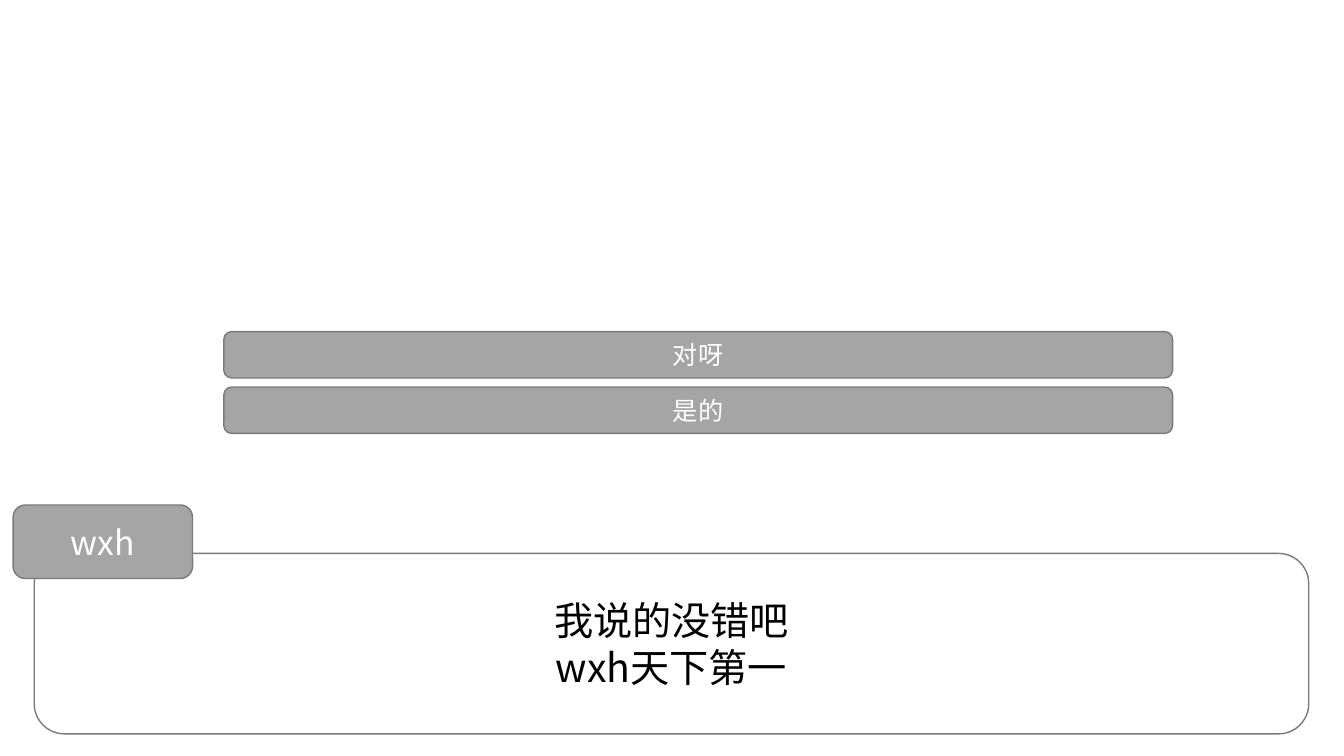
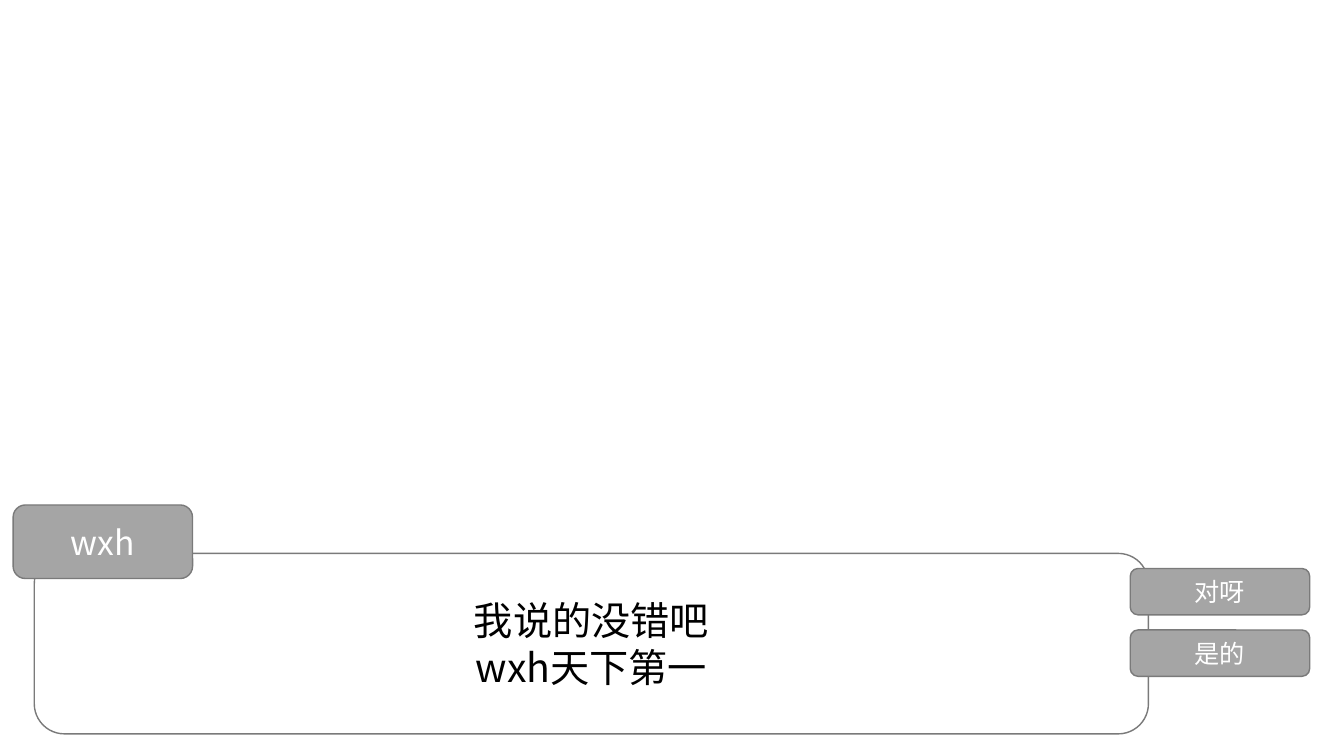
from lxml.etree import SubElement
from pptx import Presentation
from pptx.dml.color import RGBColor as RGB
from pptx.enum.shapes import MSO_SHAPE as SHAPE
from pptx.enum.text import MSO_ANCHOR as ANCHOR, PP_ALIGN as ALIGN
from pptx.oxml.ns import qn
from pptx.util import Pt

PX = 9144
WIDTH, HEIGHT = 1333, 750
FONT = "Noto Sans CJK SC"
WHITE = RGB(0xFF, 0xFF, 0xFF)
BLACK = RGB(0x00, 0x00, 0x00)
GRAY = RGB(0xA5, 0xA5, 0xA5)
OUTLINE = RGB(0x7A, 0x7A, 0x7A)

SPEAKER = "wxh"
LINES = ["我说的没错吧", "wxh天下第一"]
CHOICES = ["对呀", "是的"]
CHOICE_H = 46


def add_box(slide, box, lines, size, fill=GRAY, color=WHITE, opacity=100):
    """Add an outlined rounded box with centred lines of text."""
    sp = slide.shapes.add_shape(SHAPE.ROUNDED_RECTANGLE, *(v * PX for v in box))
    sp.shadow.inherit = False
    sp.fill.solid()
    sp.fill.fore_color.rgb = fill
    if opacity < 100:
        clr = sp._element.spPr.find(qn("a:solidFill")).find(qn("a:srgbClr"))
        SubElement(clr, qn("a:alpha"), val=str(opacity * 1000))
    sp.line.color.rgb = OUTLINE
    sp.line.width = Pt(1)
    tf = sp.text_frame
    tf.word_wrap = True
    tf.vertical_anchor = ANCHOR.MIDDLE
    tf.text = "\n".join(lines)
    for p in tf.paragraphs:
        p.alignment = ALIGN.CENTER
        p.font.size = Pt(size)
        p.font.color.rgb = color
        p.font.name = FONT
        props = p._p.get_or_add_pPr().find(qn("a:defRPr"))
        SubElement(props, qn("a:ea"), typeface=FONT)


def add_dialogue(slide, left, top, width, height):
    """Add the speech panel with the speaker's name tag over its corner."""
    add_box(slide, (left, top, width, height), LINES, 28, WHITE, BLACK, 60)
    add_box(slide, (left - 21, top - 48, 178, 73), [SPEAKER], 24)


def add_choices(slide, left, top, width, gap):
    """Stack the answer buttons downwards with equal gaps."""
    for i, choice in enumerate(CHOICES):
        y = top + i * (CHOICE_H + gap)
        add_box(slide, (left, y, width, CHOICE_H), [choice], 18)


def add_scene(prs, panel_width, choices):
    """Add one slide with its dialogue panel and answer buttons."""
    slide = prs.slides.add_slide(prs.slide_layouts[6])
    add_dialogue(slide, 34, 549, panel_width, 179)
    add_choices(slide, *choices)


def main():
    """Build and save both dialogue scenes."""
    prs = Presentation()
    prs.slide_width, prs.slide_height = WIDTH * PX, HEIGHT * PX
    add_scene(prs, 1264, (222, 329, 941, 9))
    add_scene(prs, 1105, (1121, 564, 178, 15))
    prs.save("out.pptx")


if __name__ == "__main__":
    main()
